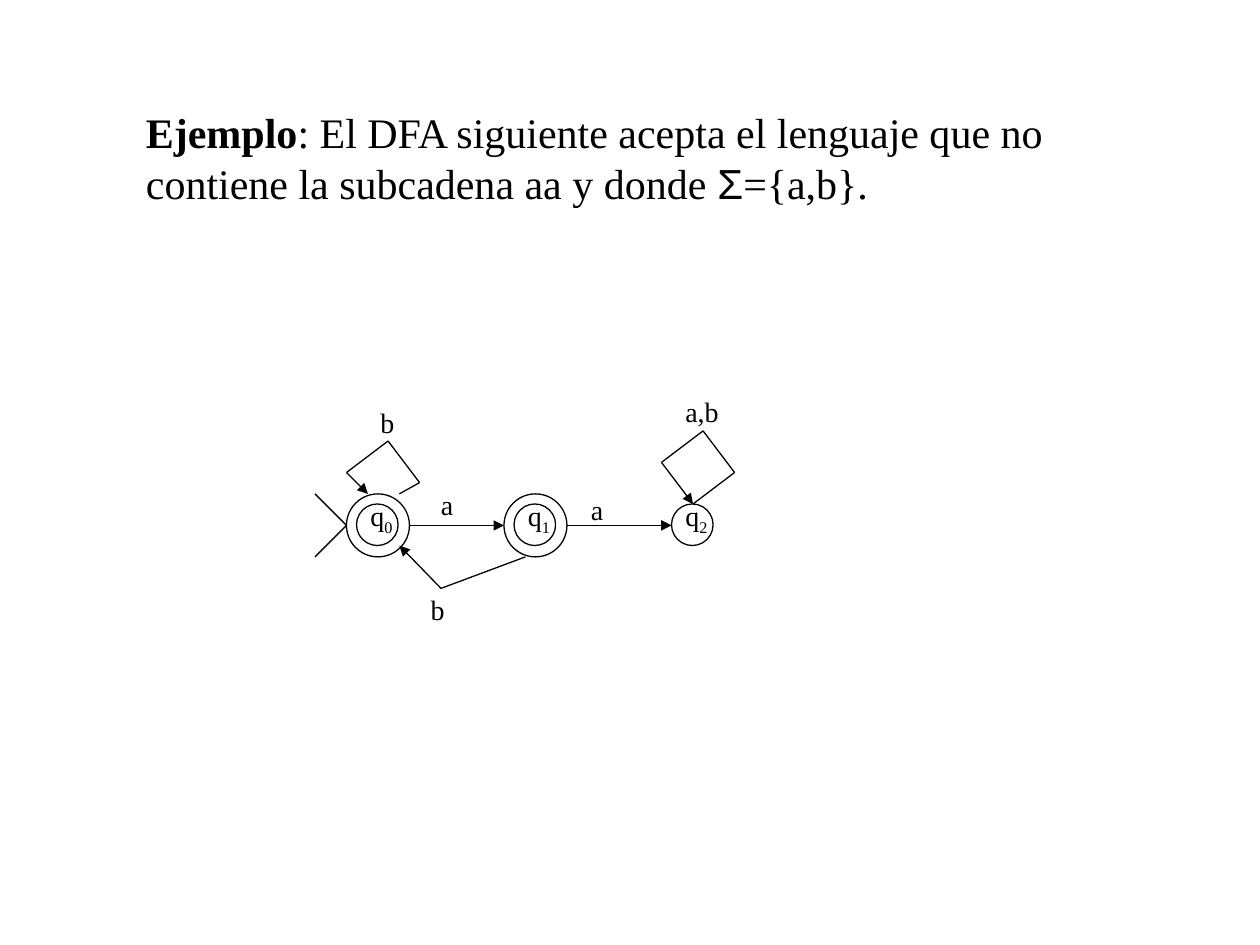
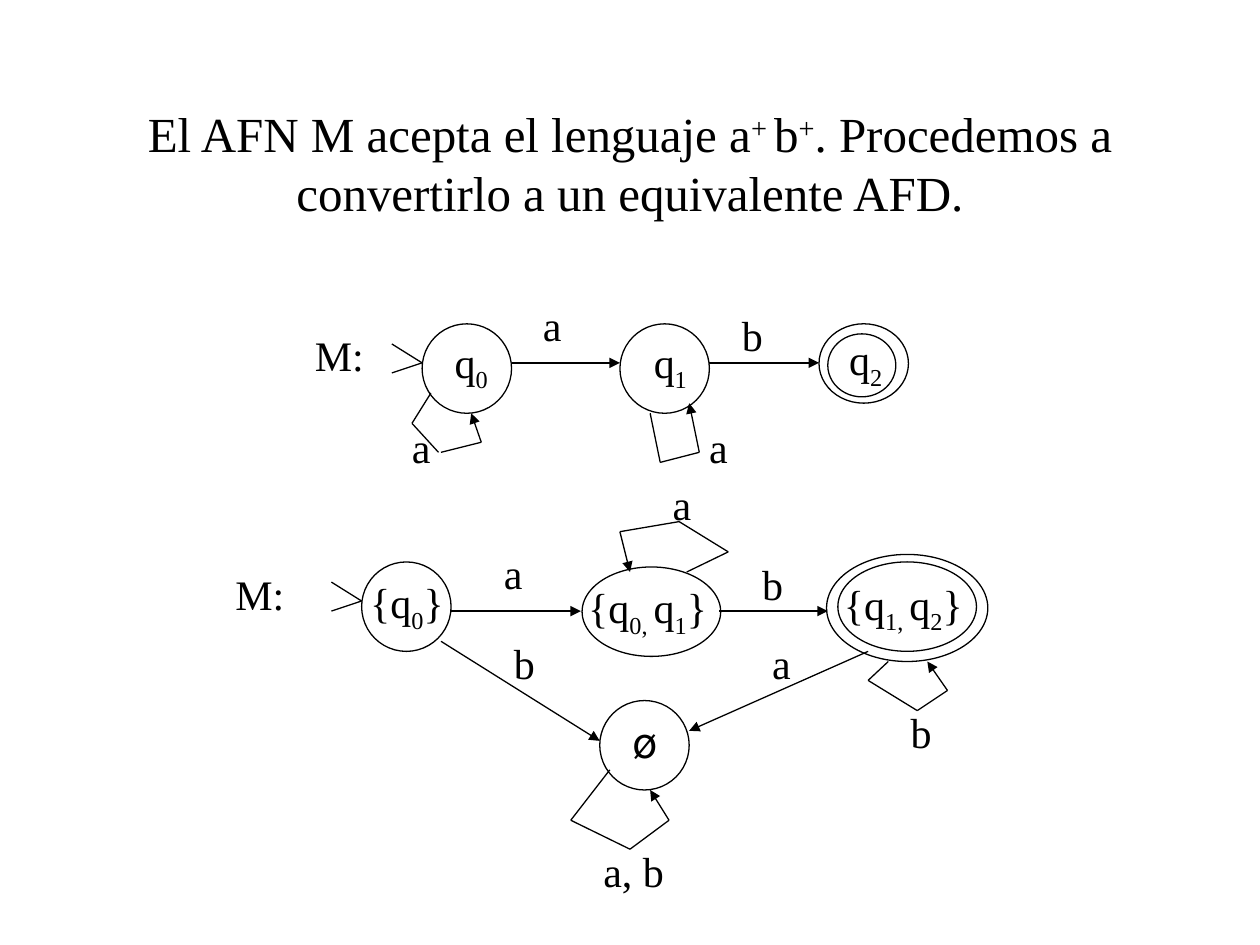
import pptx
import pptx.dml.color
import pptx.enum.shapes
import pptx.enum.text
import pptx.oxml.ns
import pptx.util
from lxml import etree

Inches = pptx.util.Inches
Pt = pptx.util.Pt
color = pptx.dml.color.RGBColor.from_string
INK = "000000"
FONT = "Times New Roman"
SYMBOL_FONTS = {"Σ": "Arial", "ø": "Noto Sans CJK KR"}
BASELINES = {"_": "-25000", "^": "30000"}
LINE_WIDTH = 0.75


def add_text(slide, left, top, width, height, size, markup):
    shape = slide.shapes.add_textbox(Inches(left), Inches(top), Inches(width), Inches(height))
    frame = shape.text_frame
    frame.word_wrap = False
    frame.auto_size = pptx.enum.text.MSO_AUTO_SIZE.SHAPE_TO_FIT_TEXT
    for index, line in enumerate(markup.split("\n")):
        paragraph = frame.add_paragraph() if index else frame.paragraphs[0]
        for part in line.split("|"):
            run = paragraph.add_run()
            run.text = part.lstrip("_^*")
            run.font.size = Pt(size)
            run.font.name = SYMBOL_FONTS.get(part, FONT)
            run.font.color.rgb = color(INK)
            run.font.bold = part.startswith("*")
            if part[0] in BASELINES:
                run._r.get_or_add_rPr().set("baseline", BASELINES[part[0]])
    return shape


def add_path(slide, points, arrow):
    for start, end in zip(points, points[1:]):
        connector = slide.shapes.add_connector(
            pptx.enum.shapes.MSO_CONNECTOR.STRAIGHT, *[Inches(value) for value in start + end])
        connector.line.color.rgb = color(INK)
        connector.line.width = Pt(LINE_WIDTH)
        if arrow and end == points[-1]:
            tail = etree.SubElement(connector.line._get_or_add_ln(), pptx.oxml.ns.qn("a:tailEnd"))
            tail.set("type", "triangle")
        etree.SubElement(connector._element.spPr, pptx.oxml.ns.qn("a:effectLst"))


presentation = pptx.Presentation()
presentation.slide_width = Inches(10)
presentation.slide_height = Inches(7.5)
dfa_slide, conversion_slide = [
    presentation.slides.add_slide(presentation.slide_layouts[6]) for _ in range(2)]

add_text(dfa_slide, 1.06, 0.8, 7.46, 1.3, 24,
         "*Ejemplo|: El DFA siguiente acepta el lenguaje que no\n"
         "contiene la subcadena aa y donde |Σ|={a,b}.")

title = add_text(conversion_slide, 0.75, 0.67, 8.5, 1.24, 28,
                 "El AFN M acepta el lenguaje a|^+ |b|^+|. Procedemos a convertirlo a un equivalente AFD.")
title.text_frame.word_wrap = True
title.text_frame.auto_size = pptx.enum.text.MSO_AUTO_SIZE.NONE
title.text_frame.vertical_anchor = pptx.enum.text.MSO_ANCHOR.MIDDLE
title.text_frame.paragraphs[0].alignment = pptx.enum.text.PP_ALIGN.CENTER

dfa_circles = [
    (2.75, 3.92, 0.5, 0.5), (2.83, 4, 0.33, 0.33),
    (4, 3.92, 0.5, 0.5), (4.08, 4, 0.33, 0.33),
    (5.33, 4, 0.33, 0.33),
]
conversion_circles = [
    (3.35, 2.57, 0.71, 0.71), (4.92, 2.57, 0.71, 0.71),
    (6.5, 2.57, 0.71, 0.63), (6.57, 2.65, 0.54, 0.5),
    (2.87, 4.46, 0.71, 0.71), (4.62, 4.5, 1.1, 0.71),
    (6.56, 4.4, 1.28, 0.85), (6.65, 4.46, 1.1, 0.71),
    (4.76, 5.56, 0.71, 0.71),
]
for slide, circles in [(dfa_slide, dfa_circles), (conversion_slide, conversion_circles)]:
    for circle in circles:
        shape = slide.shapes.add_shape(
            pptx.enum.shapes.MSO_SHAPE.OVAL, *[Inches(value) for value in circle])
        shape.shadow.inherit = False
        shape.fill.background()
        shape.line.color.rgb = color(INK)
        shape.line.width = Pt(LINE_WIDTH)

dfa_arrows = [
    [(3.25, 4.17), (4, 4.17)],
    [(4.5, 4.17), (5.33, 4.17)],
    [(4.17, 4.42), (3.5, 4.67), (3.17, 4.33)],
    [(3.17, 3.92), (3.33, 3.83), (3.08, 3.5), (2.75, 3.75), (2.92, 3.92)],
    [(5.5, 4), (5.83, 3.75), (5.58, 3.42), (5.25, 3.67), (5.5, 4)],
]
conversion_arrows = [
    [(4.06, 2.88), (4.92, 2.88)],
    [(5.63, 2.88), (6.5, 2.88)],
    [(3.5, 3.59), (3.82, 3.51), (3.74, 3.28)],
    [(5.16, 3.28), (5.24, 3.67), (5.55, 3.59), (5.47, 3.2)],
    [(3.58, 4.85), (4.61, 4.85)],
    [(5.71, 4.85), (6.57, 4.85)],
    [(3.5, 5.09), (4.76, 5.88)],
    [(6.89, 5.17), (5.47, 5.8)],
    [(5.45, 4.54), (5.78, 4.38), (5.39, 4.14), (4.92, 4.22), (5, 4.54)],
    [(7.05, 5.25), (6.89, 5.4), (7.28, 5.64), (7.52, 5.48), (7.36, 5.25)],
    [(4.84, 6.11), (4.53, 6.51), (5, 6.74), (5.31, 6.51), (5.16, 6.27)],
]
for slide, arrows in [(dfa_slide, dfa_arrows), (conversion_slide, conversion_arrows)]:
    for points in arrows:
        add_path(slide, points, True)

add_path(conversion_slide, [(3.42, 3.12), (3.27, 3.36), (3.48, 3.59)], False)
add_path(dfa_slide, [(2.5, 3.92), (2.75, 4.17), (2.5, 4.42)], False)
for tip_x, tip_y in [(3.35, 2.88), (2.87, 4.77)]:
    add_path(conversion_slide,
             [(tip_x - 0.24, tip_y - 0.15), (tip_x, tip_y), (tip_x - 0.24, tip_y + 0.08)], False)

for index in range(3):
    add_text(dfa_slide, 2.84 + 1.25 * index, 3.91, 0.39, 0.41, 16, f"q|_{index}")

dfa_labels = [
    (2.92, 3.17, 0.32, "b"), (3.4, 3.82, 0.31, "a"), (3.32, 4.65, 0.32, "b"),
    (4.59, 3.86, 0.31, "a"), (5.34, 3.08, 0.48, "a,b"),
]
for left, top, width, label in dfa_labels:
    add_text(dfa_slide, left, top, width, 0.37, 16, label)

conversion_states = [
    (3.51, 2.62, 0.48, "q|_0"), (5.09, 2.62, 0.48, "q|_1"), (6.64, 2.6, 0.48, "q|_2"),
    (2.84, 4.53, 0.8, "{q|_0|}"), (4.57, 4.57, 1.16, "{q|_0, |q|_1|}"),
    (6.6, 4.54, 1.16, "{q|_1, |q|_2|}"),
]
for left, top, width, state in conversion_states:
    add_text(conversion_slide, left, top, width, 0.56, 24, state)

conversion_labels = [
    (2.4, 2.57, 0.6, "M:"), (4.21, 2.33, 0.36, "a"), (5.79, 2.41, 0.37, "b"),
    (3.17, 3.3, 0.36, "a"), (5.53, 3.3, 0.36, "a"),
    (1.77, 4.46, 0.6, "M:"), (3.9, 4.3, 0.36, "a"), (5.24, 3.75, 0.36, "a"),
    (5.95, 4.38, 0.37, "b"), (3.98, 5.01, 0.37, "b"), (6.03, 5.01, 0.36, "a"),
    (7.13, 5.56, 0.37, "b"), (4.92, 5.64, 0.4, "ø"), (4.69, 6.66, 0.7, "a, b"),
]
for left, top, width, label in conversion_labels:
    add_text(conversion_slide, left, top, width, 0.5, 24, label)

presentation.save("out.pptx")
